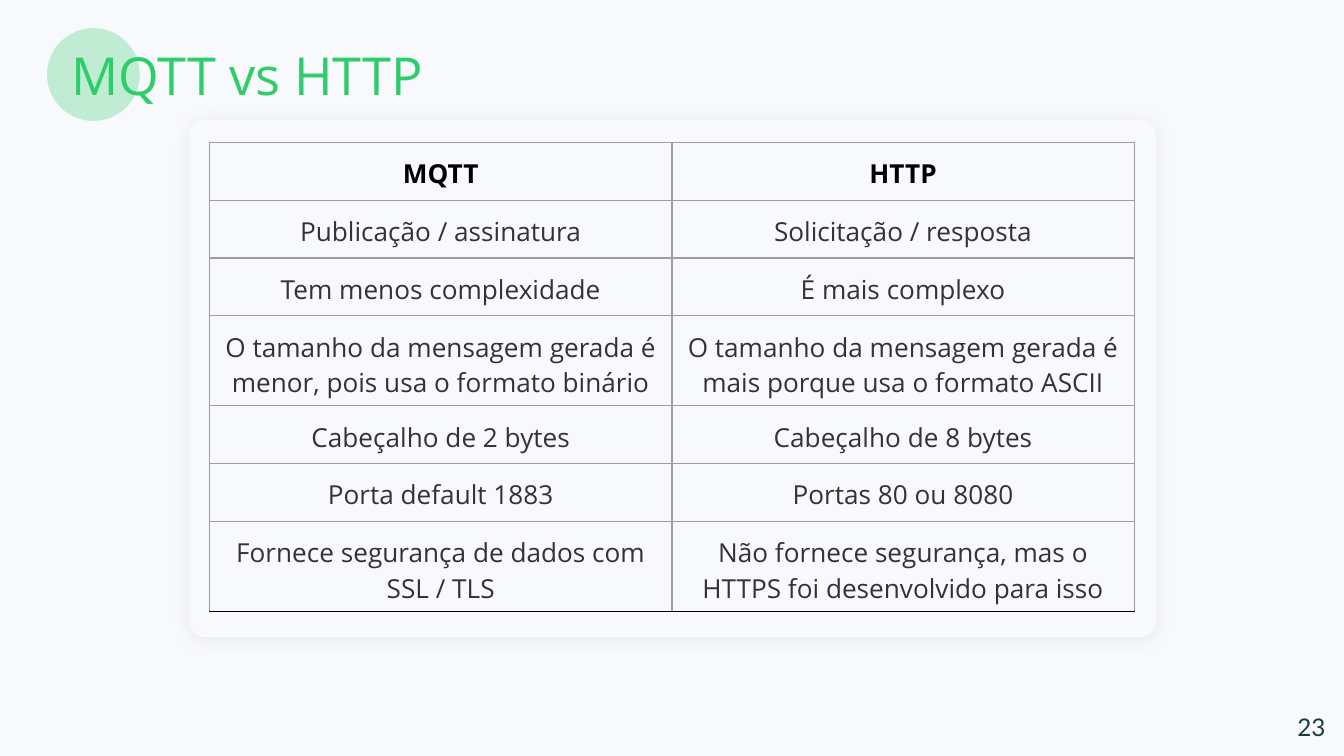
"""Build the MQTT and HTTP comparison slide."""
import dataclasses
import typing

import pptx
import pptx.dml.color
import pptx.enum.shapes
import pptx.enum.text
import pptx.oxml
import pptx.oxml.ns
import pptx.util

Inches = pptx.util.Inches
Align = pptx.enum.text.PP_ALIGN
Anchor = pptx.enum.text.MSO_ANCHOR
Preset = pptx.enum.shapes.MSO_SHAPE


@dataclasses.dataclass(frozen=True)
class Theme:
    """Colours, fonts and type sizes."""
    ground: str = "F8F9FD"
    accent: str = "2DCD69"
    ink: str = "333333"
    strong: str = "000000"
    number: str = "153D3B"
    grid: str = "9E9E9E"
    shadow: str = "595959"
    text_font: str = "Open Sans"
    number_font: str = "Lato"
    title_size: float = 28
    cell_size: float = 14
    number_size: float = 13
    grid_width: float = 0.75


class Frame(typing.NamedTuple):
    """Position and size in inches."""
    left: float
    top: float
    width: float
    height: float

    def lengths(self) -> list:
        """Return the four values as lengths."""
        return [Inches(value) for value in self]


class Style(typing.NamedTuple):
    """Look of one text run."""
    font: str
    size: float
    color: str
    bold: bool = False


class Row(typing.NamedTuple):
    """One comparison between the two protocols."""
    mqtt: str
    http: str
    lines: int = 1


THEME = Theme()
TITLE = Style(THEME.text_font, THEME.title_size, THEME.accent)
HEADER = Style(THEME.text_font, THEME.cell_size, THEME.strong, True)
BODY = Style(THEME.text_font, THEME.cell_size, THEME.ink)
NUMBER = Style(THEME.number_font, THEME.number_size, THEME.number)
ROW_HEIGHTS = {1: 0.43, 2: 0.67}
ROWS = [
    Row("MQTT", "HTTP"),
    Row("Publicação / assinatura", "Solicitação / resposta"),
    Row("Tem menos complexidade", "É mais complexo"),
    Row("O tamanho da mensagem gerada é menor, pois usa o formato binário",
        "O tamanho da mensagem gerada é mais porque usa o formato ASCII", 2),
    Row("Cabeçalho de 2 bytes", "Cabeçalho de 8 bytes"),
    Row("Porta default 1883", "Portas 80 ou 8080"),
    Row("Fornece segurança de dados com SSL / TLS",
        "Não fornece segurança, mas o HTTPS foi desenvolvido para isso", 2),
]


def rgb(color: str) -> pptx.dml.color.RGBColor:
    """Return a colour object."""
    return pptx.dml.color.RGBColor.from_string(color)


def xml(markup: str):
    """Return an element in the drawing namespace."""
    head, rest = markup.split(" ", 1)
    return pptx.oxml.parse_xml(f"{head} {pptx.oxml.ns.nsdecls('a')} {rest}")


def write(text_frame, text: str, style: Style, align) -> None:
    """Write one styled run."""
    para = text_frame.paragraphs[0]
    para.alignment = align
    span = para.add_run()
    span.text = text
    span.font.name = style.font
    span.font.size = pptx.util.Pt(style.size)
    span.font.bold = style.bold
    span.font.color.rgb = rgb(style.color)


def set_insets(target, top: float, side: float, bottom: float) -> None:
    """Set the margins of a cell or text frame."""
    target.margin_left = target.margin_right = Inches(side)
    target.margin_top = Inches(top)
    target.margin_bottom = Inches(bottom)


def add_plain_shape(page, preset, frame: Frame, color: str):
    """Add a filled shape without outline or shadow."""
    shape = page.shapes.add_shape(preset, *frame.lengths())
    shape.shadow.inherit = False
    shape.fill.solid()
    shape.fill.fore_color.rgb = rgb(color)
    shape.line.fill.background()
    return shape


def add_card(page, frame: Frame) -> None:
    """Add the rounded card with its soft shadow."""
    card = add_plain_shape(page, Preset.ROUNDED_RECTANGLE, frame, THEME.ground)
    card.adjustments[0] = 0.029
    effects = card.element.spPr.find(pptx.oxml.ns.qn("a:effectLst"))
    effects.append(xml(
        f'<a:outerShdw blurRad="{pptx.util.Pt(9)}" dist="{pptx.util.Pt(1.5)}" '
        f'dir="{63 * 60000}" algn="bl" rotWithShape="0"><a:srgbClr val="{THEME.shadow}">'
        '<a:alpha val="9000"/></a:srgbClr></a:outerShdw>'))


def add_title_dot(page, frame: Frame) -> None:
    """Add the translucent circle behind the title."""
    dot = add_plain_shape(page, Preset.OVAL, frame, THEME.accent)
    color = dot.element.spPr.find(".//" + pptx.oxml.ns.qn("a:srgbClr"))
    color.append(xml('<a:alpha val="28000"/>'))


def place_title(page, text: str, frame: Frame) -> None:
    """Fill the title placeholder and bring it forward."""
    title = page.shapes.title
    title.left, title.top, title.width, title.height = frame.lengths()
    title.text_frame.vertical_anchor = Anchor.MIDDLE
    title.text_frame.auto_size = pptx.enum.text.MSO_AUTO_SIZE.SHAPE_TO_FIT_TEXT
    set_insets(title.text_frame, 0, 0, 0)
    write(title.text_frame, text, TITLE, Align.LEFT)
    title.element.getparent().append(title.element)


def add_number(page, text: str, frame: Frame) -> None:
    """Add the page number."""
    box = page.shapes.add_textbox(*frame.lengths())
    box.text_frame.word_wrap = True
    box.text_frame.vertical_anchor = Anchor.MIDDLE
    set_insets(box.text_frame, 0.1, 0.1, 0.1)
    write(box.text_frame, text, NUMBER, Align.RIGHT)


def set_borders(cell, bottom: str) -> None:
    """Draw the four borders of a cell."""
    properties = cell._tc.get_or_add_tcPr()
    colors = {"lnL": THEME.grid, "lnR": THEME.grid, "lnT": THEME.grid, "lnB": bottom}
    for index, (side, color) in enumerate(colors.items()):
        properties.insert(index, xml(
            f'<a:{side} w="{pptx.util.Pt(THEME.grid_width)}"><a:solidFill>'
            f'<a:srgbClr val="{color}"/></a:solidFill></a:{side}>'))


def add_comparison(page, rows: list[Row], left: float, top: float, width: float) -> None:
    """Add the comparison table."""
    heights = [ROW_HEIGHTS[row.lines] for row in rows]
    frame = Frame(left, top, width, sum(heights))
    table = page.shapes.add_table(len(rows), 2, *frame.lengths()).table
    table.first_row = table.horz_banding = False
    for index, row in enumerate(rows):
        table.rows[index].height = Inches(heights[index])
        for column, text in enumerate((row.mqtt, row.http)):
            cell = table.cell(index, column)
            cell.fill.background()
            set_insets(cell, 0.1, 0.1, 0.03)
            set_borders(cell, THEME.strong if row is rows[-1] else THEME.grid)
            write(cell.text_frame, text, BODY if index else HEADER, Align.CENTER)


def main() -> None:
    """Build and save the deck."""
    deck = pptx.Presentation()
    deck.slide_width = Inches(10)
    deck.slide_height = deck.slide_width * 9 // 16
    page = deck.slides.add_slide(deck.slide_layouts[5])
    page.background.fill.solid()
    page.background.fill.fore_color.rgb = rgb(THEME.ground)
    add_card(page, Frame(1.41, 0.89, 7.19, 3.85))
    add_title_dot(page, Frame(0.35, 0.21, 0.69, 0.69))
    place_title(page, "MQTT vs HTTP", Frame(0.53, 0.32, 5.91, 0.47))
    add_number(page, "23", Frame(9.36, 5.19, 0.6, 0.43))
    add_comparison(page, ROWS, 1.56, 1.06, 6.88)
    deck.save("out.pptx")


if __name__ == "__main__":
    main()
